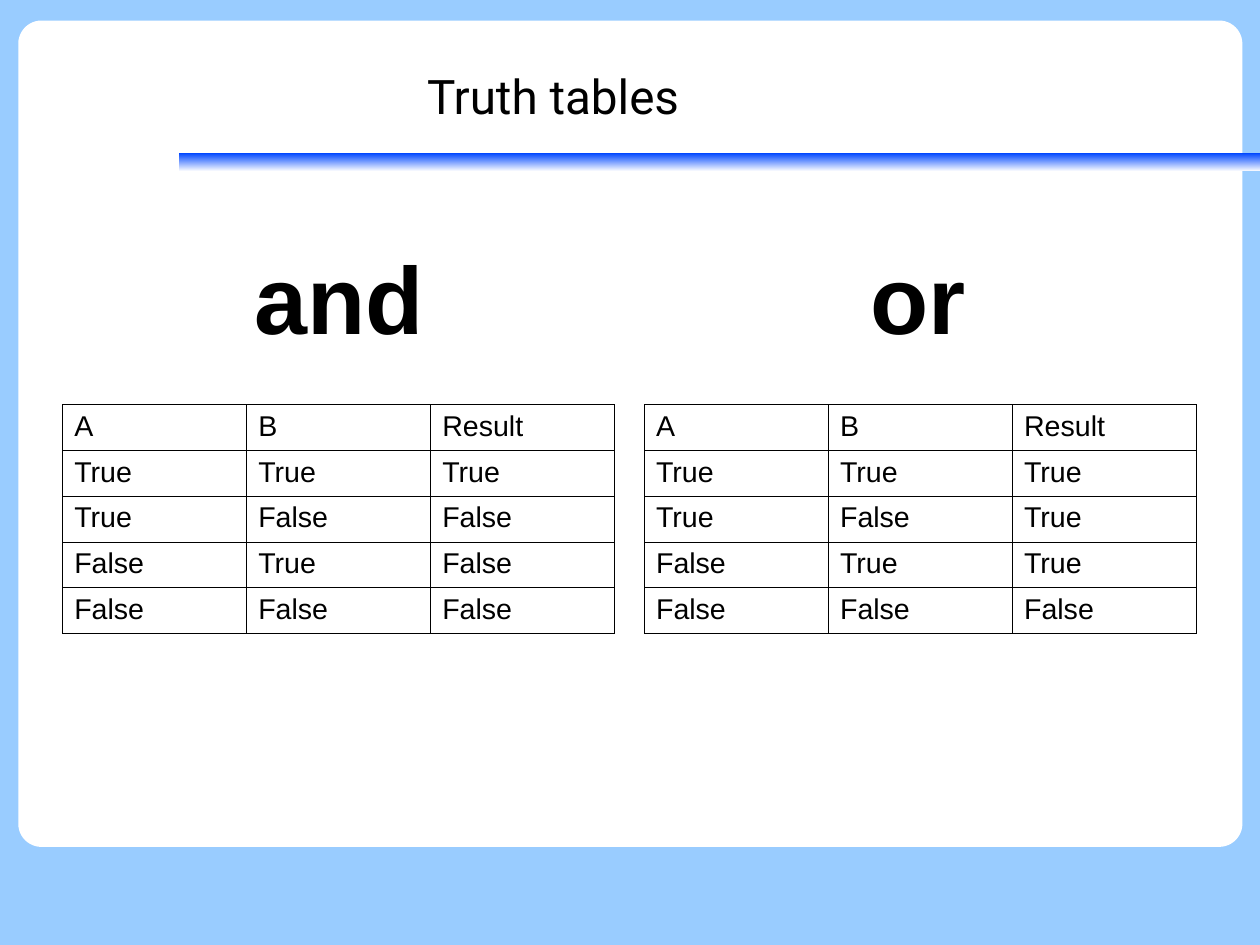
"""Build a slide with the truth tables of and and or."""
from dataclasses import dataclass
from itertools import product
from typing import Callable

from lxml.etree import SubElement as Sub
from pptx import Presentation
from pptx.dml.color import RGBColor
from pptx.enum.shapes import MSO_SHAPE as Kind
from pptx.enum.text import MSO_ANCHOR as Anchor, PP_ALIGN as Align
from pptx.oxml.ns import qn
from pptx.util import Inches, Pt

BLACK = "000000"
WHITE = "FFFFFF"
SKY = "99CCFF"
BLUE = "0047FF"
WIDE, HIGH = 28 / 2.54, 21 / 2.54
TOP, COL, ROW = 3.54, 1.61, 0.38
HEADS = ("A", "B", "Result")


@dataclass
class Gate:
    name: str
    left: float
    width: float
    table: float
    rule: Callable[[bool, bool], bool]


GATES = (
    Gate("and", 2.13, 1.68, 0.55, lambda a, b: a and b),
    Gate("or", 7.52, 1.03, 5.64, lambda a, b: a or b),
)


def color(code: str) -> RGBColor:
    return RGBColor.from_string(code)


def add_run(para, text: str, size: float, face: str = "Arial", bold: bool = False) -> None:
    run = para.add_run()
    run.text = text
    font = run.font
    font.size, font.name, font.bold = Pt(size), face, bold
    font.color.rgb = color(BLACK)


def add_panel(slide, kind: Kind, box: tuple[float, ...]):
    panel = slide.shapes.add_shape(kind, *map(Inches, box))
    panel.shadow.inherit = False
    panel.line.fill.background()
    return panel


def add_back(slide) -> None:
    slide.background.fill.solid()
    slide.background.fill.fore_color.rgb = color(SKY)
    card = add_panel(slide, Kind.ROUNDED_RECTANGLE, (0.16, 0.18, 10.71, 7.23))
    card.adjustments[0] = 0.028
    card.fill.solid()
    card.fill.fore_color.rgb = color(WHITE)
    bar = add_panel(slide, Kind.RECTANGLE, (1.57, 1.34, 9.45, 0.16))
    bar.fill.gradient()
    bar.fill.gradient_angle = 90
    for stop, code in zip(bar.fill.gradient_stops, (WHITE, BLUE)):
        stop.color.rgb = color(code)


def add_title(slide) -> None:
    box = slide.shapes.add_textbox(*map(Inches, (0.55, 0.33, 8.58, 1.01)))
    frame = box.text_frame
    frame.word_wrap = True
    frame.vertical_anchor = Anchor.MIDDLE
    frame.margin_left = frame.margin_right = 0
    frame.margin_top = frame.margin_bottom = 0
    para = frame.paragraphs[0]
    para.alignment = Align.CENTER
    add_run(para, "Truth tables", 30, "Roboto")


def set_edges(cell) -> None:
    props = cell._tc.get_or_add_tcPr()
    for side in ("lnL", "lnR", "lnT", "lnB"):
        edge = Sub(props, qn(f"a:{side}"), w=str(Pt(0.57)))
        fill = Sub(edge, qn("a:solidFill"))
        Sub(fill, qn("a:srgbClr"), val=BLACK)


def add_gate(slide, gate: Gate) -> None:
    pairs = product((True, False), repeat=2)
    rows = [HEADS, *((a, b, gate.rule(a, b)) for a, b in pairs)]
    size = (gate.table, TOP, COL * len(HEADS), ROW * len(rows))
    table = slide.shapes.add_table(len(rows), len(HEADS), *map(Inches, size)).table
    table.first_row = table.horz_banding = False
    for col in table.columns:
        col.width = Inches(COL)
    for line, row in zip(table.rows, rows):
        line.height = Inches(ROW)
        for cell, value in zip(line.cells, row):
            set_edges(cell)
            cell.fill.background()
            add_run(cell.text_frame.paragraphs[0], str(value), 18)


def add_label(slide, gate: Gate) -> None:
    label = slide.shapes.add_textbox(*map(Inches, (gate.left, 2.04, gate.width, 1.03)))
    label.text_frame.word_wrap = False
    add_run(label.text_frame.paragraphs[0], gate.name, 60, bold=True)


def main() -> None:
    deck = Presentation()
    deck.slide_width, deck.slide_height = Inches(WIDE), Inches(HIGH)
    slide = deck.slides.add_slide(deck.slide_layouts[6])
    add_back(slide)
    add_title(slide)
    for draw in (add_gate, add_label):
        for gate in GATES:
            draw(slide, gate)
    deck.save("out.pptx")


if __name__ == "__main__":
    main()
